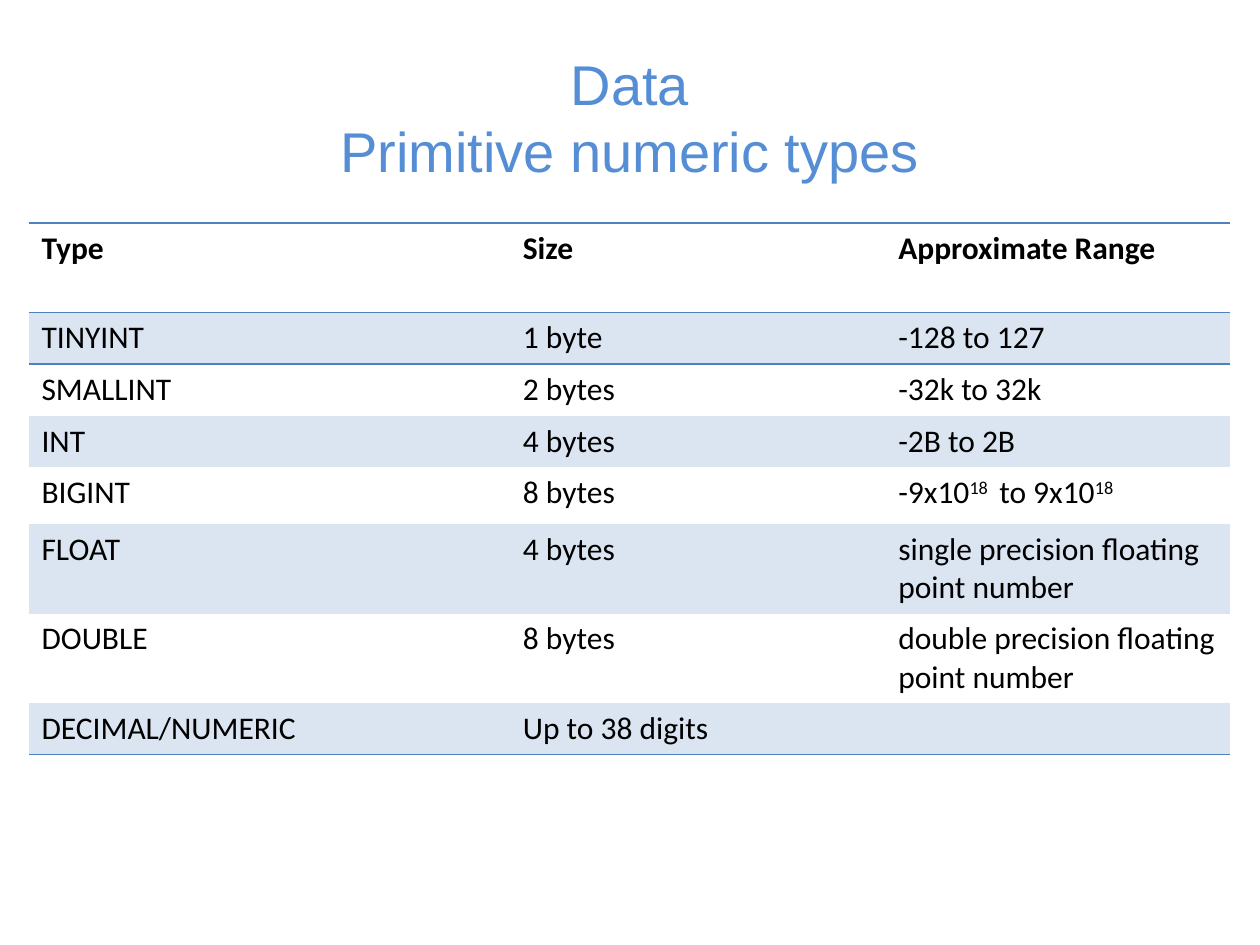
from lxml.etree import SubElement
from pptx import Presentation
from pptx.dml.color import RGBColor
from pptx.enum.text import MSO_ANCHOR as Anchor, PP_ALIGN as Align
from pptx.oxml.ns import qn
from pptx.util import Inches, Pt

# Content: a cell is text, or a list of (text, is_superscript) runs
TITLE_LINES = ["Data", "Primitive numeric types"]
HEADER = ("Type", "Size", "Approximate Range")
TYPES = [
    ("TINYINT", "1 byte", "-128 to 127"),
    ("SMALLINT", "2 bytes", "-32k to 32k"),
    ("INT", "4 bytes", "-2B to 2B"),
    ("BIGINT", "8 bytes",
     [("-9x10", False), ("18 ", True), (" to 9x10", False), ("18", True)]),
    ("FLOAT", "4 bytes", "single precision floating point number"),
    ("DOUBLE", "8 bytes", "double precision floating point number"),
    ("DECIMAL/NUMERIC", "Up to 38 digits", ""),
]
COLUMN_WIDTHS = [3.82, 2.98, 2.73]
ROW_HEIGHTS = [0.71, 0.41, 0.41, 0.41, 0.45, 0.71, 0.71, 0.41]

TITLE_BLUE = RGBColor(0x55, 0x8E, 0xD5)
RULE_BLUE = RGBColor(0x4F, 0x81, 0xBD)
BAND_BLUE = RGBColor(0xDB, 0xE5, 0xF1)
BLACK = RGBColor(0, 0, 0)
PLAIN_TABLE_STYLE = "{2D5ABB26-0587-4C30-8999-92F81FD0307C}"


def style_font(font, name, size, color, bold=False):
    font.name, font.size, font.bold = name, Pt(size), bold
    font.color.rgb = color


def add_rule(cell, side):
    """Draw a 1 pt border; call before the cell's fill is set."""
    line = SubElement(cell._tc.get_or_add_tcPr(), qn("a:" + side), w=str(Pt(1)))
    solid = SubElement(line, qn("a:solidFill"))
    SubElement(solid, qn("a:srgbClr"), val=str(RULE_BLUE))


def fill_cell(cell, content, bold):
    paragraph = cell.text_frame.paragraphs[0]
    style_font(paragraph.font, "Calibri", 18, BLACK, bold)
    runs = [(content, False)] if isinstance(content, str) else content
    for text, superscript in runs:
        if not text:
            continue
        run = paragraph.add_run()
        run.text = text
        style_font(run.font, "Calibri", 18, BLACK, bold)
        if superscript:
            run._r.get_or_add_rPr().set("baseline", "30000")


prs = Presentation()
prs.slide_width, prs.slide_height = Inches(10), Inches(7.5)
slide = prs.slides.add_slide(prs.slide_layouts[6])

# Title
title = slide.shapes.add_textbox(Inches(0.5), Inches(0.3), Inches(9), Inches(1.25))
title.text_frame.word_wrap = True
title.text_frame.vertical_anchor = Anchor.MIDDLE
heading = title.text_frame.paragraphs[0]
heading.alignment = Align.CENTER
for i, line in enumerate(TITLE_LINES):
    if i:
        heading.add_line_break()
    run = heading.add_run()
    run.text = line
    style_font(run.font, "Arial", 32, TITLE_BLUE)

# Table of types
rows = [HEADER] + TYPES
last = len(rows) - 1
types_frame = slide.shapes.add_table(
    len(rows), len(HEADER), Inches(0.23), Inches(1.77),
    Inches(sum(COLUMN_WIDTHS)), Inches(sum(ROW_HEIGHTS)))
types_table = types_frame.table
types_table._tbl.tblPr.find(qn("a:tableStyleId")).text = PLAIN_TABLE_STYLE
for column, width in zip(types_table.columns, COLUMN_WIDTHS):
    column.width = Inches(width)
for table_row, height in zip(types_table.rows, ROW_HEIGHTS):
    table_row.height = Inches(height)

for r, row in enumerate(rows):
    for c, content in enumerate(row):
        cell = types_table.cell(r, c)
        fill_cell(cell, content, bold=r == 0)
        if r == 0:
            add_rule(cell, "lnT")
        if r == 1:
            add_rule(cell, "lnT")
        if r in (0, last):
            add_rule(cell, "lnB")
        if r % 2:
            cell.fill.solid()
            cell.fill.fore_color.rgb = BAND_BLUE
        else:
            cell.fill.background()

prs.save("out.pptx")
